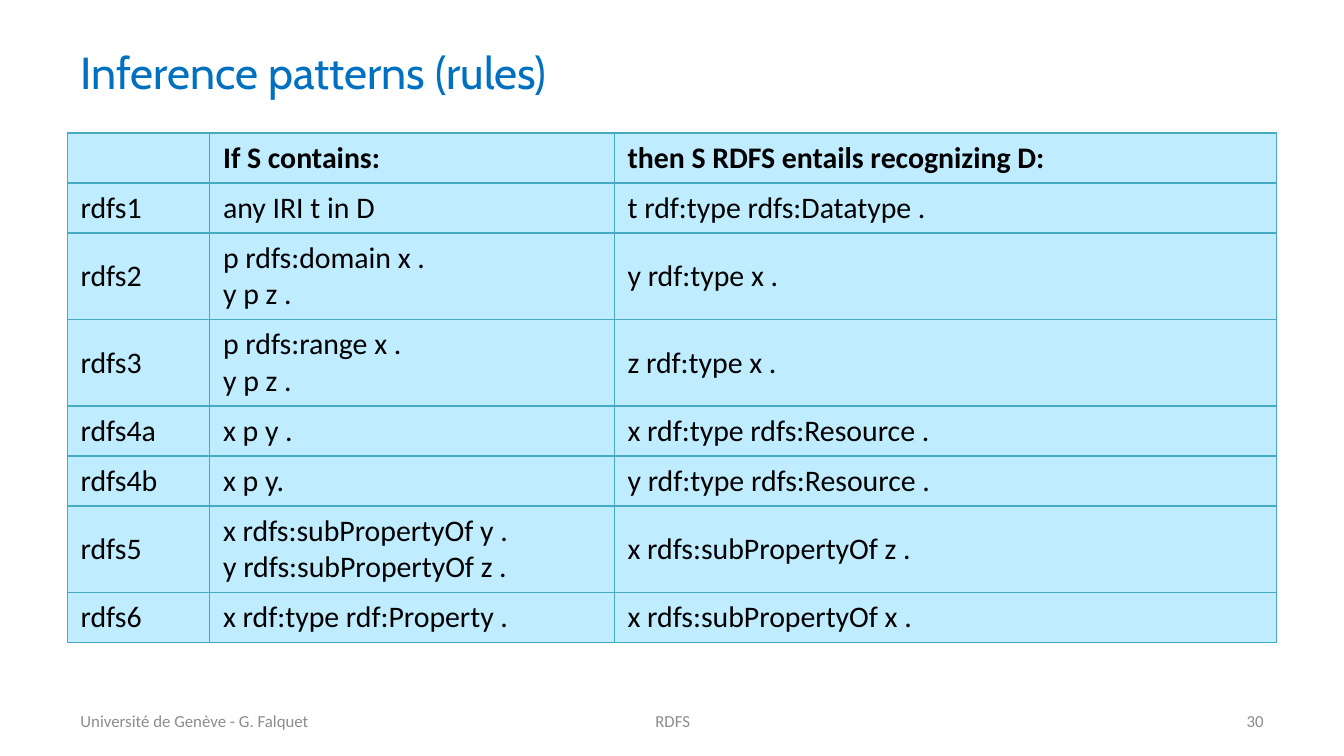
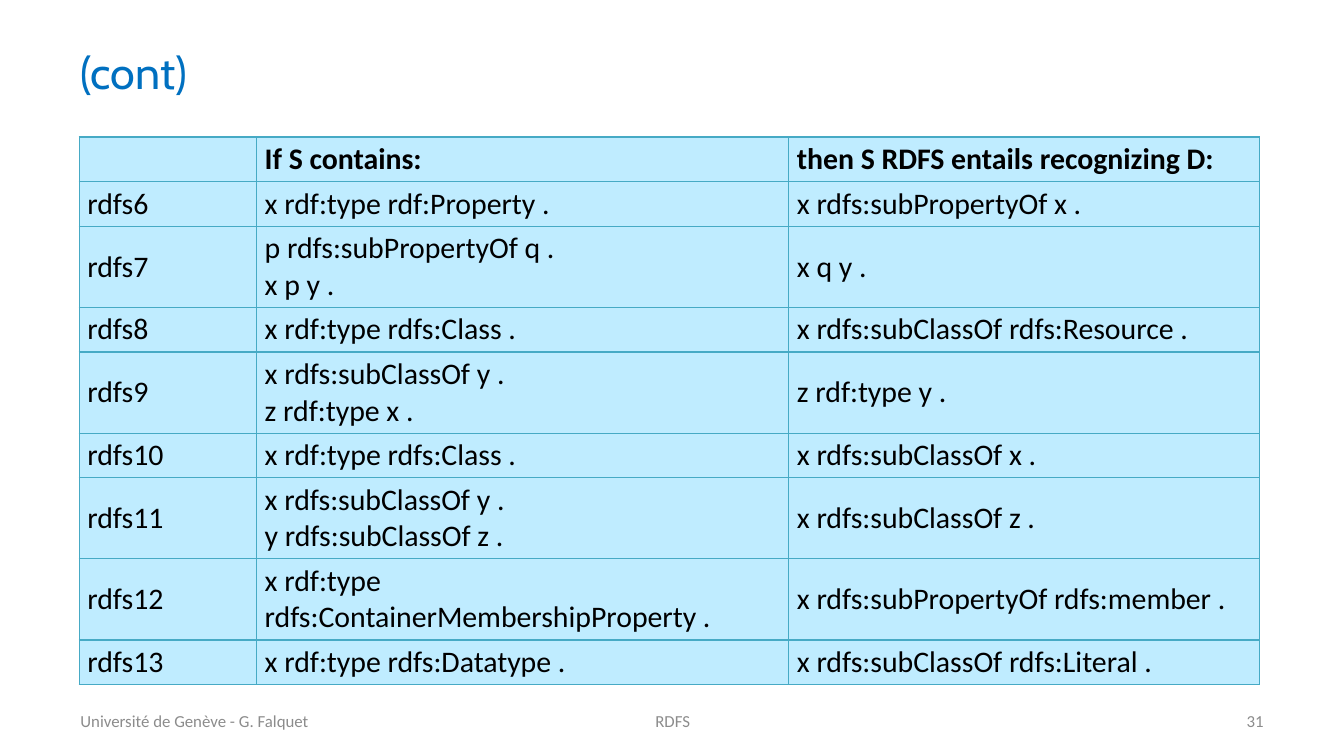
"""Build two slides that list the RDFS inference rules in tables."""
import math
from dataclasses import dataclass

import lxml.etree
import pptx
import pptx.dml.color
import pptx.enum.text
import pptx.oxml.ns
import pptx.util

RGB = pptx.dml.color.RGBColor
ALIGN = pptx.enum.text.PP_ALIGN
MIDDLE = pptx.enum.text.MSO_ANCHOR.MIDDLE
Pt = pptx.util.Pt
qn = pptx.oxml.ns.qn

BLUE = RGB(0x00, 0x70, 0xC0)
PALE = RGB(0xBF, 0xEC, 0xFF)
TEAL = RGB(0x46, 0xAA, 0xC5)
BLACK = RGB(0x00, 0x00, 0x00)
GREY = RGB(0x8C, 0x8C, 0x8C)

WIDE = pptx.util.Inches(10)
HIGH = pptx.util.Inches(5.625)
COL = WIDE / 100
ROW = HIGH / 56.25
LINE = 2.7
WRAP = 40


@dataclass(frozen=True)
class Box:
    left: float
    top: float
    width: float
    height: float

    def place(self, shape) -> None:
        shape.left, shape.top, shape.width, shape.height = self.sides()

    def sides(self) -> tuple[int, ...]:
        return (round(self.left * COL), round(self.top * ROW),
                round(self.width * COL), round(self.height * ROW))


@dataclass(frozen=True)
class Style:
    font: str
    size: float
    color: RGB
    bold: bool = False


@dataclass(frozen=True)
class Foot:
    left: float
    width: float
    align: ALIGN
    text: str


@dataclass(frozen=True)
class Page:
    number: int
    title: str
    left: float
    top: float
    widths: tuple[float, ...]
    pad: tuple[float, float]
    rules: tuple[tuple[str, str, str], ...]


TITLE = Style("Cabin", 24, BLUE)
HEAD = Style("Calibri", 16, BLACK, True)
BODY = Style("Calibri", 16, BLACK)
SMALL = Style("Calibri", 9, GREY)

TITLE_BOX = Box(5, 2.3, 90, 6)
FEET = (
    Foot(5, 29.2, ALIGN.LEFT, "Université de Genève - G. Falquet"),
    Foot(34.2, 31.7, ALIGN.CENTER, "RDFS"),
    Foot(71.7, 23.3, ALIGN.RIGHT, "{number}"),
)
LABELS = ("", "If S contains:", "then S RDFS entails recognizing D:")

PAGES = (
    Page(30, "Inference patterns (rules)", 5, 9.9, (10.6, 30.1, 49.3), (1, 0.5), (
        ("rdfs1", "any IRI t in D", "t rdf:type rdfs:Datatype ."),
        ("rdfs2", "p rdfs:domain x .\ny p z .", "y rdf:type x ."),
        ("rdfs3", "p rdfs:range x .\ny p z .", "z rdf:type x ."),
        ("rdfs4a", "x p y .", "x rdf:type rdfs:Resource ."),
        ("rdfs4b", "x p y.", "y rdf:type rdfs:Resource ."),
        ("rdfs5", "x rdfs:subPropertyOf y .\ny rdfs:subPropertyOf z .",
         "x rdfs:subPropertyOf z ."),
        ("rdfs6", "x rdf:type rdf:Property .", "x rdfs:subPropertyOf x ."),
    )),
    Page(31, "(cont)", 5.9, 10.2, (13.2, 39.6, 35), (0.6, 0.3), (
        ("rdfs6", "x rdf:type rdf:Property .", "x rdfs:subPropertyOf x ."),
        ("rdfs7", "p rdfs:subPropertyOf q .\nx p y .", "x q y ."),
        ("rdfs8", "x rdf:type rdfs:Class .", "x rdfs:subClassOf rdfs:Resource ."),
        ("rdfs9", "x rdfs:subClassOf y .\nz rdf:type x .", "z rdf:type y ."),
        ("rdfs10", "x rdf:type rdfs:Class .", "x rdfs:subClassOf x ."),
        ("rdfs11", "x rdfs:subClassOf y .\ny rdfs:subClassOf z .",
         "x rdfs:subClassOf z ."),
        ("rdfs12", "x rdf:type rdfs:ContainerMembershipProperty .",
         "x rdfs:subPropertyOf rdfs:member ."),
        ("rdfs13", "x rdf:type rdfs:Datatype .", "x rdfs:subClassOf rdfs:Literal ."),
    )),
)


def write(frame, text: str, style: Style, align: ALIGN = ALIGN.LEFT) -> None:
    para = frame.paragraphs[0]
    para.alignment = align
    if not text:
        end = lxml.etree.SubElement(para._p, qn("a:endParaRPr"))
        end.set("sz", str(style.size * 100))
        return
    for index, line in enumerate(text.split("\n")):
        if index:
            para.add_line_break()
        run = para.add_run()
        run.text = line
        run.font.name = style.font
        run.font.size = Pt(style.size)
        run.font.bold = style.bold
        run.font.color.rgb = style.color


def edge(cell) -> None:
    props = cell._tc.get_or_add_tcPr()
    for side in ("lnL", "lnR", "lnT", "lnB"):
        line = lxml.etree.SubElement(props, qn(f"a:{side}"), w=str(Pt(0.75)))
        fill = lxml.etree.SubElement(line, qn("a:solidFill"))
        lxml.etree.SubElement(fill, qn("a:srgbClr"), val=str(TEAL))


def count(text: str) -> int:
    return sum(max(1, math.ceil(len(part) / WRAP)) for part in text.split("\n"))


def add_rules(slide, page: Page) -> None:
    rows = (LABELS, *page.rules)
    across, down = page.pad
    highs = [LINE * max(map(count, row)) + 2 * down for row in rows]
    box = Box(page.left, page.top, sum(page.widths), sum(highs))
    table = slide.shapes.add_table(len(rows), len(LABELS), *box.sides()).table
    table.first_row = table.horz_banding = False
    for column, width in zip(table.columns, page.widths):
        column.width = round(width * COL)
    for index, (row, high) in enumerate(zip(rows, highs)):
        table.rows[index].height = round(high * ROW)
        for place, text in enumerate(row):
            cell = table.cell(index, place)
            cell.vertical_anchor = MIDDLE
            cell.margin_left = cell.margin_right = round(across * COL)
            cell.margin_top = cell.margin_bottom = round(down * ROW)
            edge(cell)
            cell.fill.solid()
            cell.fill.fore_color.rgb = PALE
            write(cell.text_frame, text, BODY if index else HEAD)


def add_foot(slide, foot: Foot, number: int) -> None:
    box = Box(foot.left, 52.1, foot.width, 3)
    frame = slide.shapes.add_textbox(*box.sides()).text_frame
    frame.word_wrap = True
    frame.vertical_anchor = MIDDLE
    write(frame, foot.text.format(number=number), SMALL, foot.align)


def add_page(deck, page: Page) -> None:
    slide = deck.slides.add_slide(deck.slide_layouts[5])
    title = slide.shapes.title
    TITLE_BOX.place(title)
    title.text_frame.vertical_anchor = MIDDLE
    write(title.text_frame, page.title, TITLE)
    add_rules(slide, page)
    for foot in FEET:
        add_foot(slide, foot, page.number)


def main() -> None:
    deck = pptx.Presentation()
    deck.slide_width, deck.slide_height = WIDE, HIGH
    for page in PAGES:
        add_page(deck, page)
    deck.save("out.pptx")


if __name__ == "__main__":
    main()
